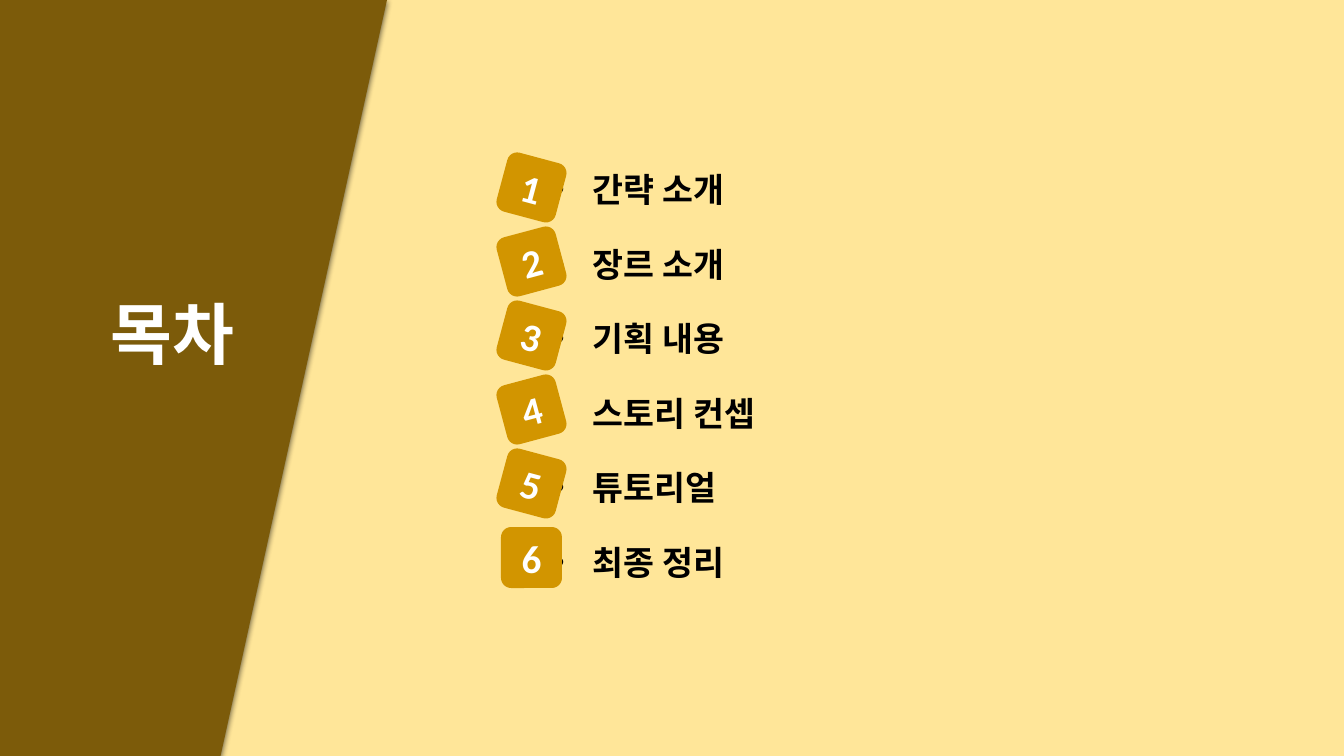
import pptx
import pptx.util
import pptx.dml.color
import pptx.enum.shapes
import pptx.enum.text
import pptx.oxml
import pptx.oxml.ns
import lxml.etree

TITLE = "목차"
AGENDA = [
    ("간략 소개", 15),
    ("장르 소개", -15),
    ("기획 내용", 15),
    ("스토리 컨셉", -15),
    ("튜토리얼", 15),
    ("최종 정리", 0),
]

THEME = {
    "font": "Calibri",
    "background": "FFE699",
    "panel": "7C5B0A",
    "badge": "D29500",
    "light": "FFFFFF",
    "dark": "000000",
    "title_size": 48,
    "item_size": 24,
    "badge_size": 28,
}

SLIDE_WIDTH, SLIDE_HEIGHT = 1344, 756
SLANT_WIDTH, SLANT_RATIO = 387, 0.43
PANEL_WIDTH = 209
TITLE_BOX = (0, 227, 345, 171)
AGENDA_BOX = (543, 87, 677, 557)
BADGE_LEFT, BADGE_TOP, BADGE_SIDE, BADGE_PITCH = 501, 157, 61, 74
BULLET_INDENT = 40

SHADOW = (
    '<a:effectLst xmlns:a="http://schemas.openxmlformats.org/drawingml/2006/main">'
    '<a:outerShdw blurRad="57150" dist="19050" dir="5400000" algn="ctr" rotWithShape="0">'
    '<a:srgbClr val="000000"><a:alpha val="63000"/></a:srgbClr>'
    '</a:outerShdw></a:effectLst>'
)


def px(length):
    return pptx.util.Emu(round(length * 12192000 / SLIDE_WIDTH))


def color(name):
    return pptx.dml.color.RGBColor.from_string(THEME[name])


def apply_format(target, values):
    for name, value in values.items():
        setattr(target, name, value)


def write(paragraph, text, size, color_name):
    run = paragraph.add_run()
    run.text = text
    apply_format(run.font, {
        "name": THEME["font"],
        "size": pptx.util.Pt(THEME[size]),
        "bold": True,
    })
    run.font.color.rgb = color(color_name)


def add_block(slide, kind, box, fill):
    shape = slide.shapes.add_shape(kind, *map(px, box))
    shape.shadow.inherit = False
    shape.fill.solid()
    shape.fill.fore_color.rgb = color(fill)
    shape.line.fill.background()
    return shape


def add_bullet(paragraph):
    properties = paragraph._p.get_or_add_pPr()
    properties.set("marL", str(px(BULLET_INDENT)))
    properties.set("indent", str(-px(BULLET_INDENT)))
    for tag, attribute, value in (("a:buFont", "typeface", "Arial"), ("a:buChar", "char", "•")):
        element = lxml.etree.SubElement(properties, pptx.oxml.ns.qn(tag))
        element.set(attribute, value)


def add_panel(slide):
    kinds = pptx.enum.shapes.MSO_SHAPE
    slant = add_block(slide, kinds.PARALLELOGRAM, (0, 0, SLANT_WIDTH, SLIDE_HEIGHT), "panel")
    slant.adjustments[0] = SLANT_RATIO
    properties = slant._element.spPr
    properties.replace(properties.find(pptx.oxml.ns.qn("a:effectLst")), pptx.oxml.parse_xml(SHADOW))
    add_block(slide, kinds.RECTANGLE, (0, 0, PANEL_WIDTH, SLIDE_HEIGHT), "panel")


def add_title(slide):
    title = slide.shapes.title
    slide.shapes._spTree.append(title._element)
    apply_format(title, dict(zip(("left", "top", "width", "height"), map(px, TITLE_BOX))))
    apply_format(title.text_frame, {
        "vertical_anchor": pptx.enum.text.MSO_ANCHOR.MIDDLE,
        "auto_size": pptx.enum.text.MSO_AUTO_SIZE.NONE,
        "word_wrap": True,
    })
    paragraph = title.text_frame.paragraphs[0]
    apply_format(paragraph, {"alignment": pptx.enum.text.PP_ALIGN.CENTER, "line_spacing": 1.5})
    write(paragraph, TITLE, "title_size", "light")


def add_agenda(slide):
    frame = slide.shapes.add_textbox(*map(px, AGENDA_BOX)).text_frame
    apply_format(frame, {
        "word_wrap": True,
        "vertical_anchor": pptx.enum.text.MSO_ANCHOR.MIDDLE,
    })
    for index, (text, angle) in enumerate(AGENDA):
        paragraph = frame.add_paragraph() if index else frame.paragraphs[0]
        add_bullet(paragraph)
        paragraph.line_spacing = 1.5
        if index:
            paragraph.space_before = pptx.util.Pt(10)
        write(paragraph, text, "item_size", "dark")


def add_badges(slide):
    for index, (text, angle) in enumerate(AGENDA):
        box = (BADGE_LEFT, BADGE_TOP + index * BADGE_PITCH, BADGE_SIDE, BADGE_SIDE)
        badge = add_block(slide, pptx.enum.shapes.MSO_SHAPE.ROUNDED_RECTANGLE, box, "badge")
        badge.rotation = angle
        badge.text_frame.vertical_anchor = pptx.enum.text.MSO_ANCHOR.MIDDLE
        paragraph = badge.text_frame.paragraphs[0]
        paragraph.alignment = pptx.enum.text.PP_ALIGN.CENTER
        write(paragraph, str(index + 1), "badge_size", "light")


def main():
    presentation = pptx.Presentation()
    apply_format(presentation, {"slide_width": px(SLIDE_WIDTH), "slide_height": px(SLIDE_HEIGHT)})
    slide = presentation.slides.add_slide(presentation.slide_layouts[5])
    slide.background.fill.solid()
    slide.background.fill.fore_color.rgb = color("background")
    add_panel(slide)
    add_title(slide)
    add_agenda(slide)
    add_badges(slide)
    presentation.save("out.pptx")


if __name__ == "__main__":
    main()
